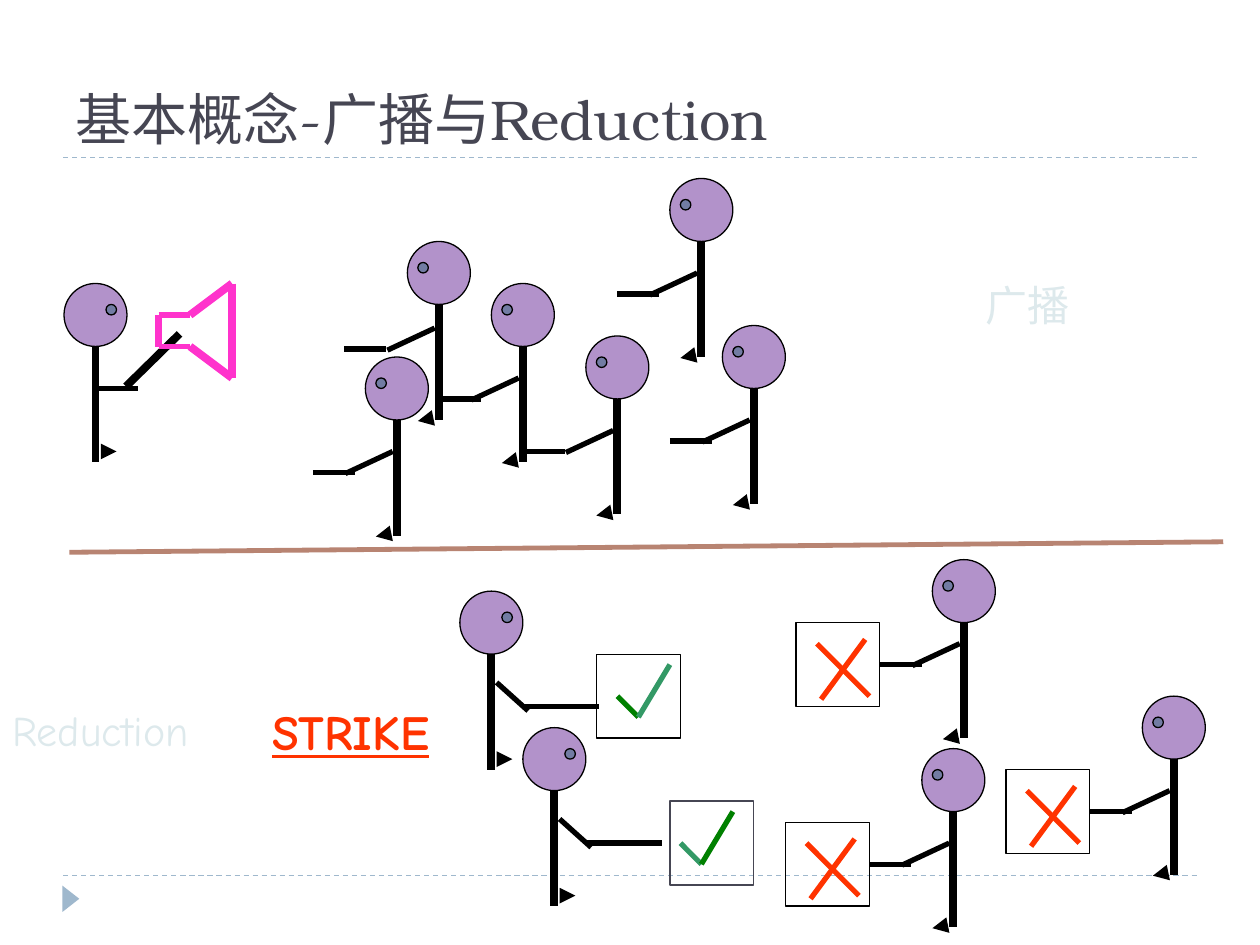
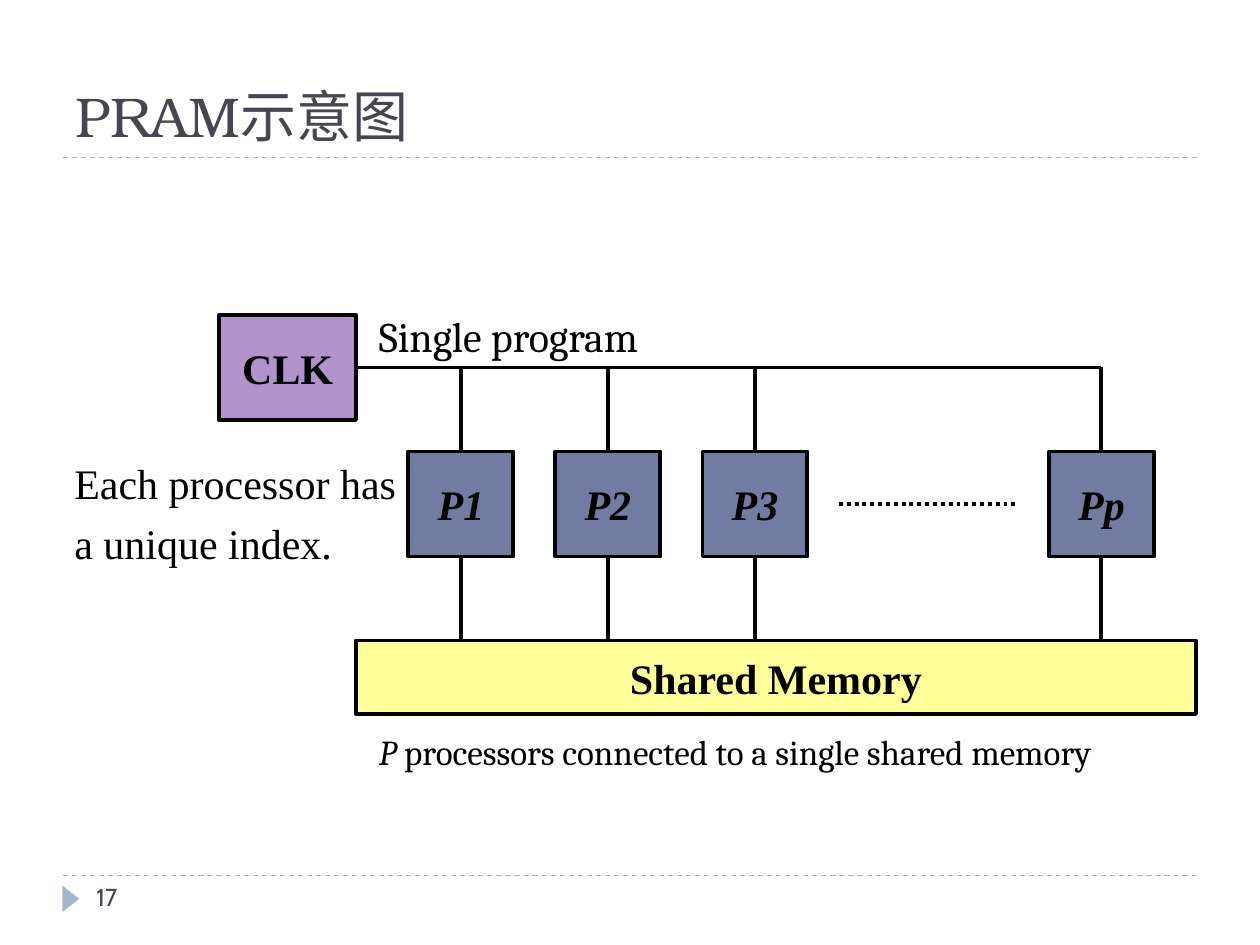
from dataclasses import dataclass

from lxml.etree import SubElement
from pptx import Presentation
from pptx.dml.color import RGBColor
from pptx.enum.dml import MSO_LINE_DASH_STYLE as DASH
from pptx.enum.shapes import MSO_CONNECTOR, MSO_SHAPE as SHAPE
from pptx.enum.text import MSO_ANCHOR as ANCHOR, PP_ALIGN as ALIGN
from pptx.oxml.ns import qn
from pptx.slide import Slide
from pptx.util import Inches, Pt

COLUMNS, ROWS = 120, 90
WIDTH, HEIGHT = Inches(10), Inches(7.5)
CELL = WIDTH / COLUMNS

COLORS = {
    "ink": "000000",
    "title": "464653",
    "rule": "9FB8CD",
    "pale": "DDE9EC",
    "skin": "B292CA",
    "slate": "727CA3",
    "memory": "FFFF99",
    "divider": "B88472",
    "horn": "FF33CC",
    "no": "FF3300",
    "green": "008000",
    "sea": "339966",
}
TITLE_FONT, COMIC, TIMES, SERIF, SANS = (
    "TeX Gyre Bonum", "Comic Neue", "Times New Roman", "Cambria", "Cabin")


def rgb(name):
    return RGBColor.from_string(COLORS[name])


def cells(count):
    return round(count * CELL)


@dataclass
class Grid:
    """Drawing area whose points count grid cells from its own origin."""
    page: Slide
    left: float = 0
    top: float = 0

    def at(self, column, row):
        return Grid(self.page, self.left + column, self.top + row)

    def place(self, column, row):
        return cells(self.left + column), cells(self.top + row)

    def line(self, start, end, color="ink", width=3.0, dash=None, arrow=False):
        link = self.page.shapes.add_connector(
            MSO_CONNECTOR.STRAIGHT, *self.place(*start), *self.place(*end))
        link.line.color.rgb = rgb(color)
        link.line.width = Pt(width)
        if dash:
            link.line.dash_style = dash
        if arrow:
            SubElement(link.line._get_or_add_ln(), qn("a:tailEnd"), type="triangle")
        SubElement(link._element.spPr, qn("a:effectLst"))

    def shape(self, kind, column, row, width, height, fill=None, line="ink", weight=0.75):
        item = self.page.shapes.add_shape(
            kind, *self.place(column, row), cells(width), cells(height))
        item.shadow.inherit = False
        if fill:
            item.fill.solid()
            item.fill.fore_color.rgb = rgb(fill)
        else:
            item.fill.background()
        if line:
            item.line.color.rgb = rgb(line)
            item.line.width = Pt(weight)
        else:
            item.line.fill.background()
        return item

    def text(self, column, row, width, height, paras, anchor=ANCHOR.TOP, **style):
        box = self.page.shapes.add_textbox(
            *self.place(column, row), cells(width), cells(height))
        write(box, paras, anchor, **style)


def write(box, paras, anchor, font, size, color="ink", align=ALIGN.LEFT,
          before=0, bold=False, italic=False, underline=False):
    """Fill a box; each paragraph is a string or a list of (text, italic) runs."""
    frame = box.text_frame
    frame.word_wrap = True
    frame.vertical_anchor = anchor
    for index, runs in enumerate(paras):
        para = frame.paragraphs[0] if index == 0 else frame.add_paragraph()
        para.alignment = align
        para.space_before = Pt(before)
        if isinstance(runs, str):
            runs = [(runs, italic)]
        for words, slanted in runs:
            span = para.add_run()
            span.text = words
            span.font.name = font
            span.font.size = Pt(size)
            span.font.color.rgb = rgb(color)
            span.font.bold = bold
            span.font.italic = slanted
            span.font.underline = underline


def add_page(deck, title, title_bottom=15.0, number=None):
    grid = Grid(deck.slides.add_slide(deck.slide_layouts[6]))
    for row in (15, 83.4):
        grid.line((6, row), (114, row), "rule", 0.75, DASH.DASH)
    marker = grid.shape(SHAPE.ISOSCELES_TRIANGLE, 5.5, 84.8, 2.5, 1.6, "rule", None)
    marker.rotation = 90
    grid.text(6, title_bottom - 12, 108, 12, [title], ANCHOR.BOTTOM,
              font=TITLE_FONT, size=32, color="title")
    if number:
        grid.text(8, 83.4, 26, 4.8, [number], font=SANS, size=14, color="title")
    return grid


def add_person(grid, faces_right=False):
    """Head, eye, body and foot; the arms are drawn separately."""
    grid.shape(SHAPE.OVAL, 0, 0, 6, 6, "skin")
    grid.line((3, 6), (3, 17), width=4.5)
    foot = ((4, 16), (5, 16)) if faces_right else ((2, 16.9), (1, 17.1))
    grid.line(*foot, arrow=True)
    grid.shape(SHAPE.OVAL, 4 if faces_right else 1, 2, 1, 1, "slate")


def add_left_person(grid, reach=5, lift=0):
    add_person(grid)
    grid.line((-reach, 11 - lift), (4 - reach, 11 - lift))
    grid.line((-1.9, 11.1 - lift), (2.6, 9 - lift))


def add_yes_voter(grid):
    add_person(grid, faces_right=True)
    grid.line((3.5, 8.7), (6.5, 11.4))
    grid.line((6, 11), (13.2, 11))


def add_speaker(grid):
    add_person(grid, faces_right=True)
    grid.line((3, 10), (7, 10))
    grid.line((5.9, 9.8), (11, 4.8), width=4.5)
    grid.line((9, 3), (9, 6), "horn", 4.5)
    for row, rim in ((6, 9), (3, 0)):
        grid.line((9, row), (12, row), "horn")
        grid.line((12, row), (16, rim), "horn", 4.5)
    grid.line((16, 0), (16, 9), "horn", 4.5)


def add_ballot(grid, border="ink"):
    grid.shape(SHAPE.RECTANGLE, 0, 0, 8, 8, line=border)


def add_cross(grid):
    grid.line((2, 2), (7, 7), "no")
    grid.line((6.6, 1.6), (2.4, 7.3), "no")


def add_tick(grid, short_color, long_color):
    grid.line((0, 4), (2, 6), short_color)
    grid.line((2, 6), (5, 1), long_color)


def draw_broadcast(grid):
    listeners = [(39, 23, 6, 0.75), (47, 27, 5, 0), (56, 32, 6, 0),
                 (64, 17, 5, 0), (69, 31, 5, 0), (35, 34, 5, 0)]
    for column, row, reach, lift in listeners:
        add_left_person(grid.at(column, row), reach, lift)
    add_speaker(grid.at(6.3, 27))
    grid.text(92.9, 26, 12, 6, ["广播"], ANCHOR.MIDDLE, font=COMIC, size=24, color="pale")


def draw_reduction(grid):
    yes_voters = [(44, 56, 57, 62, 2, "ink", "green", "sea"),
                  (50, 69, 64, 76, 1, "title", "sea", "green")]
    for column, row, card, card_row, indent, border, short, long in yes_voters:
        add_yes_voter(grid.at(column, row))
        add_ballot(grid.at(card, card_row), border)
        add_tick(grid.at(card + indent, card_row), short, long)
    for column, row, lift in ((89, 53, 1), (109, 66, 0), (88, 71, 0)):
        add_left_person(grid.at(column, row), lift=lift)
        card = grid.at(column - 13, row + 7 - lift)
        add_ballot(card)
        add_cross(card)
    grid.text(0.2, 66.2, 20, 6, ["Reduction"], ANCHOR.MIDDLE,
              font=COMIC, size=24, color="pale")
    grid.text(23.6, 65.9, 20, 6.8, ["STRIKE"], font=COMIC, size=28, color="no",
              align=ALIGN.CENTER, bold=True, underline=True)


def add_unit(grid, label, column, row, width, height, fill, italic=False):
    unit = grid.shape(SHAPE.RECTANGLE, column, row, width, height, fill, weight=2.25)
    write(unit, [label], ANCHOR.MIDDLE, font=TIMES, size=24,
          align=ALIGN.CENTER, bold=True, italic=italic)


def draw_pram(grid):
    bus, top, size, memory = 35, 43, 10, 61
    for label, column in (("P1", 39), ("P2", 53), ("P3", 67), ("Pp", 100)):
        add_unit(grid, label, column, top, size, size, "slate", italic=True)
        middle = column + size / 2
        grid.line((middle, bus), (middle, top), width=2.25)
        grid.line((middle, top + size), (middle, memory), width=2.25)
    grid.line((80, 48), (97, 48), width=2.25, dash=DASH.ROUND_DOT)
    add_unit(grid, "Shared Memory", 34, memory, 80, 7, "memory")
    grid.line((34, bus), (105, bus), width=2.25)
    add_unit(grid, "CLK", 21, 30, 13, 10, "skin")
    grid.text(35, 69, 76.4, 5, [[("P", True), (
        " processors connected to a single shared memory", False)]], font=SERIF, size=20)
    grid.text(6, 43, 37, 12, ["Each processor has", "a unique index."],
              font=TIMES, size=24, before=5.5)
    grid.text(35, 29, 75, 6, ["Single program"], font=SERIF, size=24)


def main():
    deck = Presentation()
    deck.slide_width, deck.slide_height = WIDTH, HEIGHT

    concepts = add_page(deck, "基本概念-广播与Reduction")
    draw_broadcast(concepts.at(-0.2, 0))
    concepts.line((6.6, 52.6), (116.5, 51.6), "divider", 2.75)
    draw_reduction(concepts.at(-0.2, 0.3))

    pram = add_page(deck, "PRAM示意图", title_bottom=14.8, number="17")
    draw_pram(pram.at(-0.1, 0))

    deck.save("out.pptx")


if __name__ == "__main__":
    main()
